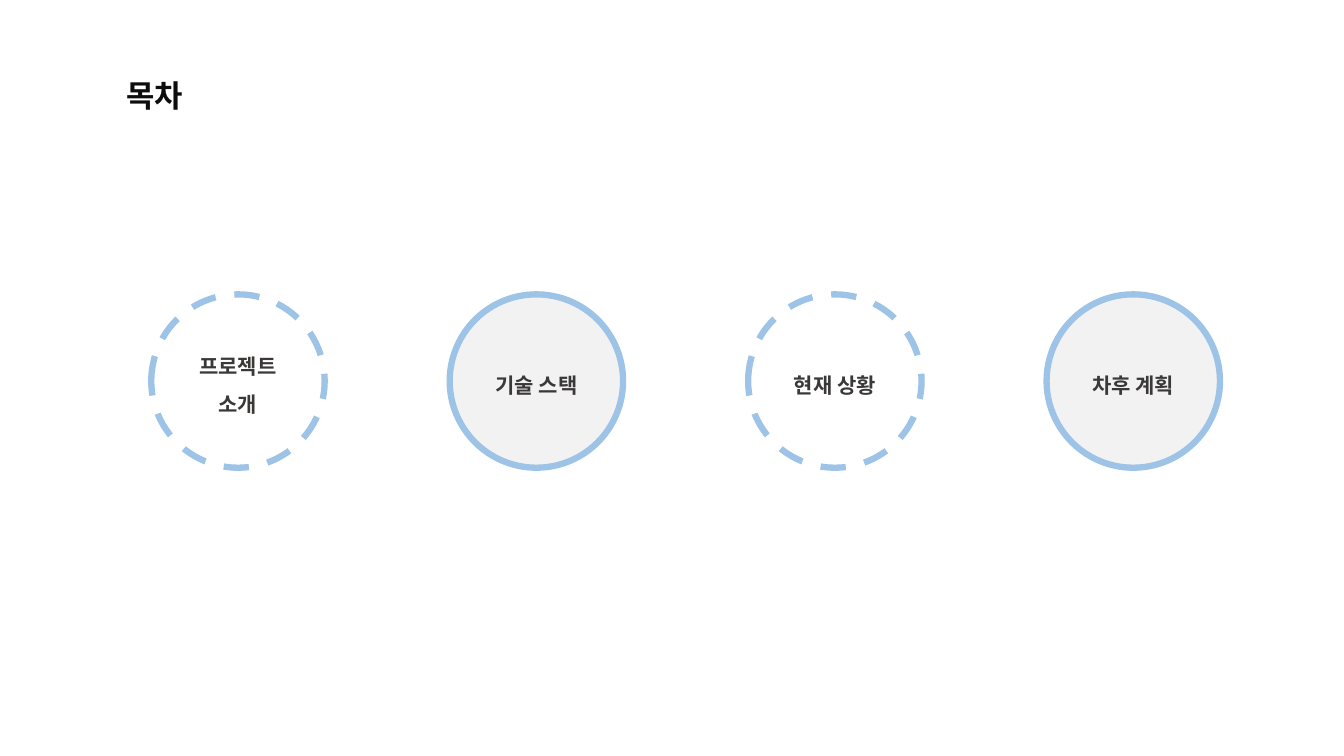
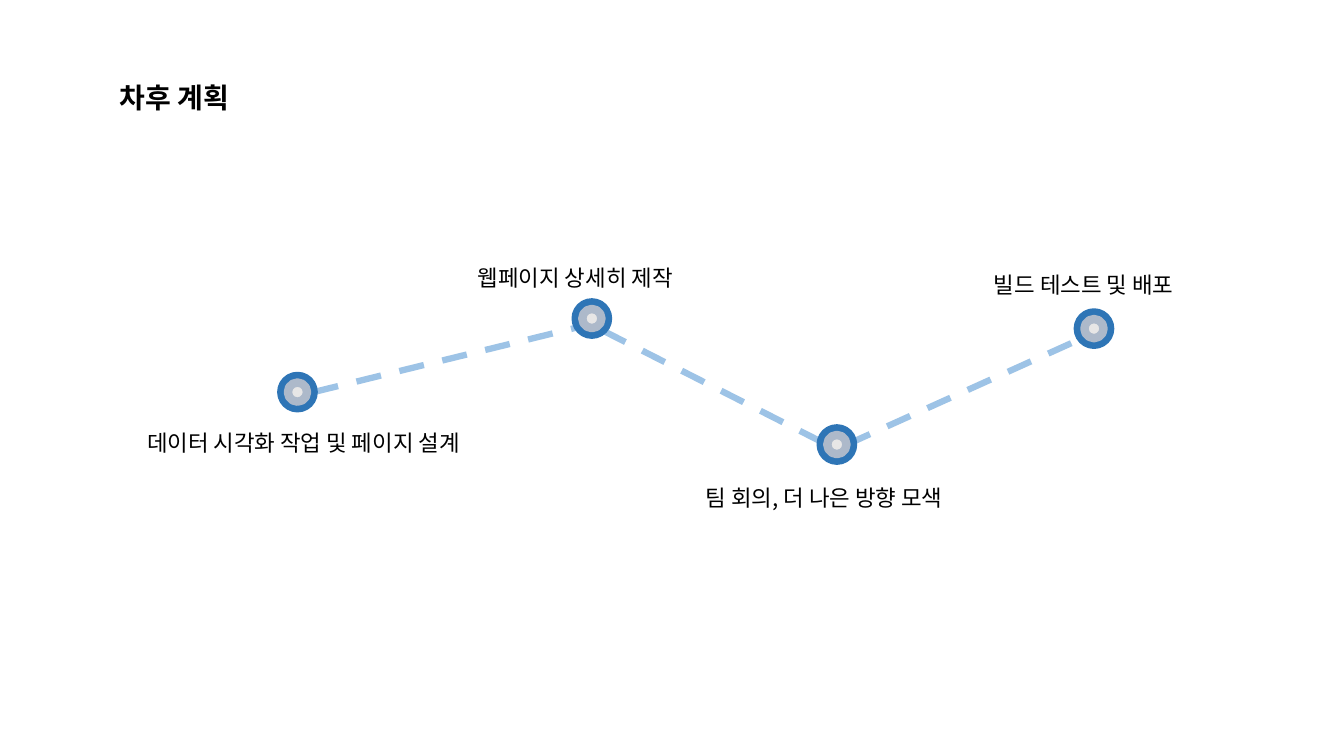
from dataclasses import dataclass

from lxml import etree
from pptx import Presentation
from pptx.dml.color import RGBColor
from pptx.enum.dml import MSO_LINE
from pptx.enum.shapes import MSO_CONNECTOR, MSO_SHAPE
from pptx.enum.text import MSO_ANCHOR, MSO_AUTO_SIZE, PP_ALIGN
from pptx.oxml.ns import qn
from pptx.util import Inches, Pt

OVAL = MSO_SHAPE.OVAL
STRAIGHT = MSO_CONNECTOR.STRAIGHT
DASH = MSO_LINE.DASH
TOP, MIDDLE = MSO_ANCHOR.TOP, MSO_ANCHOR.MIDDLE
LEFT, CENTER, JUSTIFY = PP_ALIGN.LEFT, PP_ALIGN.CENTER, PP_ALIGN.JUSTIFY
TITLE_ONLY = 5


@dataclass(frozen=True)
class Theme:
    font: str = "Noto Sans CJK KR"
    white: str = "FFFFFF"
    black: str = "000000"
    agenda_title: str = "0D0D0D"
    agenda_text: str = "3B3838"
    pale_gray: str = "F2F2F2"
    light_blue: str = "9DC3E6"
    ring_blue: str = "2E75B6"
    ring_gray: str = "ADB9CA"
    dot_center: str = "E7E6E6"
    agenda_title_size: int = 22
    plan_title_size: int = 20
    agenda_size: int = 15
    label_size: int = 16
    line_width: float = 4.5
    ring_width: float = 6


THEME = Theme()


def write_text(shape, text, size, color, bold, align, anchor, spacing=1.0):
    """Fill a shape with text, using the theme font for Latin and Korean."""
    frame = shape.text_frame
    frame.text = text
    frame.word_wrap = True
    frame.auto_size = MSO_AUTO_SIZE.NONE
    frame.vertical_anchor = anchor
    for paragraph in frame.paragraphs:
        paragraph.alignment = align
        paragraph.line_spacing = spacing
        for run in paragraph.runs:
            run.font.size = Pt(size)
            run.font.bold = bold
            run.font.color.rgb = RGBColor.from_string(color)
            run.font.name = THEME.font
            east_asian = etree.Element(qn("a:ea"), typeface=THEME.font)
            run.font._element.find(qn("a:latin")).addnext(east_asian)


def add_circle(slide, center_x, center_y, diameter, fill, line, width):
    left, top = center_x - diameter / 2, center_y - diameter / 2
    circle = slide.shapes.add_shape(
        OVAL, Inches(left), Inches(top), Inches(diameter), Inches(diameter))
    circle.shadow.inherit = False
    circle.fill.solid()
    circle.fill.fore_color.rgb = RGBColor.from_string(fill)
    circle.line.color.rgb = RGBColor.from_string(line)
    circle.line.width = Pt(width)
    return circle


presentation = Presentation()
presentation.slide_width = Inches(13.33)
presentation.slide_height = Inches(7.5)

# Slides and their titles
slides = []
for text, left, top, width, size, color in (
    ("목차", 1.15, 0.71, 4.35, THEME.agenda_title_size, THEME.agenda_title),
    ("차후 계획", 1.09, 0.75, 4.35, THEME.plan_title_size, THEME.black),
):
    slide = presentation.slides.add_slide(presentation.slide_layouts[TITLE_ONLY])
    title = slide.shapes.title
    title.left, title.top = Inches(left), Inches(top)
    title.width, title.height = Inches(width), Inches(0.47)
    write_text(title, text, size, color, True, LEFT, TOP)
    slides.append(slide)
agenda_slide, plan_slide = slides

# Agenda: evenly spaced circles, alternately dashed and solid
for index, topic in enumerate(("프로젝트\n소개", "기술 스택", "현재 상황", "차후 계획")):
    dashed = index % 2 == 0
    circle = add_circle(
        agenda_slide, 2.36 + 2.96 * index, 3.78, 1.72,
        THEME.white if dashed else THEME.pale_gray,
        THEME.light_blue, THEME.line_width)
    if dashed:
        circle.line.dash_style = DASH
    write_text(circle, topic, THEME.agenda_size, THEME.agenda_text,
               True, CENTER, MIDDLE, 1.5)
    frame = circle.text_frame
    frame.margin_left = frame.margin_right = frame.margin_top = 0
    frame.margin_bottom = Inches(0.05)

# Plan: dashed path first, so that the milestones cover its ends
for start_x, start_y, end_x, end_y in (
    (3.11, 3.89, 5.8, 3.23),
    (5.98, 3.28, 8.2, 4.41),
    (8.4, 4.41, 10.79, 3.33),
):
    connector = plan_slide.shapes.add_connector(
        STRAIGHT, Inches(start_x), Inches(start_y), Inches(end_x), Inches(end_y))
    connector.line.color.rgb = RGBColor.from_string(THEME.light_blue)
    connector.line.width = Pt(THEME.line_width)
    connector.line.dash_style = DASH
    etree.SubElement(connector._element.spPr, qn("a:effectLst"))

for text, center_x, center_y, label_left, label_top, label_width in (
    ("데이터 시각화 작업 및 페이지 설계", 2.95, 3.89, 1.36, 4.21, 5.01),
    ("웹페이지 상세히 제작", 5.87, 3.16, 4.64, 2.57, 2.66),
    ("팀 회의, 더 나은 방향 모색", 8.3, 4.41, 6.9, 4.75, 3.12),
    ("빌드 테스트 및 배포", 10.85, 3.26, 9.76, 2.64, 2.58),
):
    for diameter, line in ((0.32, THEME.ring_blue), (0.19, THEME.ring_gray)):
        add_circle(plan_slide, center_x, center_y, diameter,
                   THEME.dot_center, line, THEME.ring_width)
    label = plan_slide.shapes.add_textbox(
        Inches(label_left), Inches(label_top), Inches(label_width), Inches(0.37))
    write_text(label, text, THEME.label_size, THEME.black, False, JUSTIFY, TOP)

presentation.save("out.pptx")
